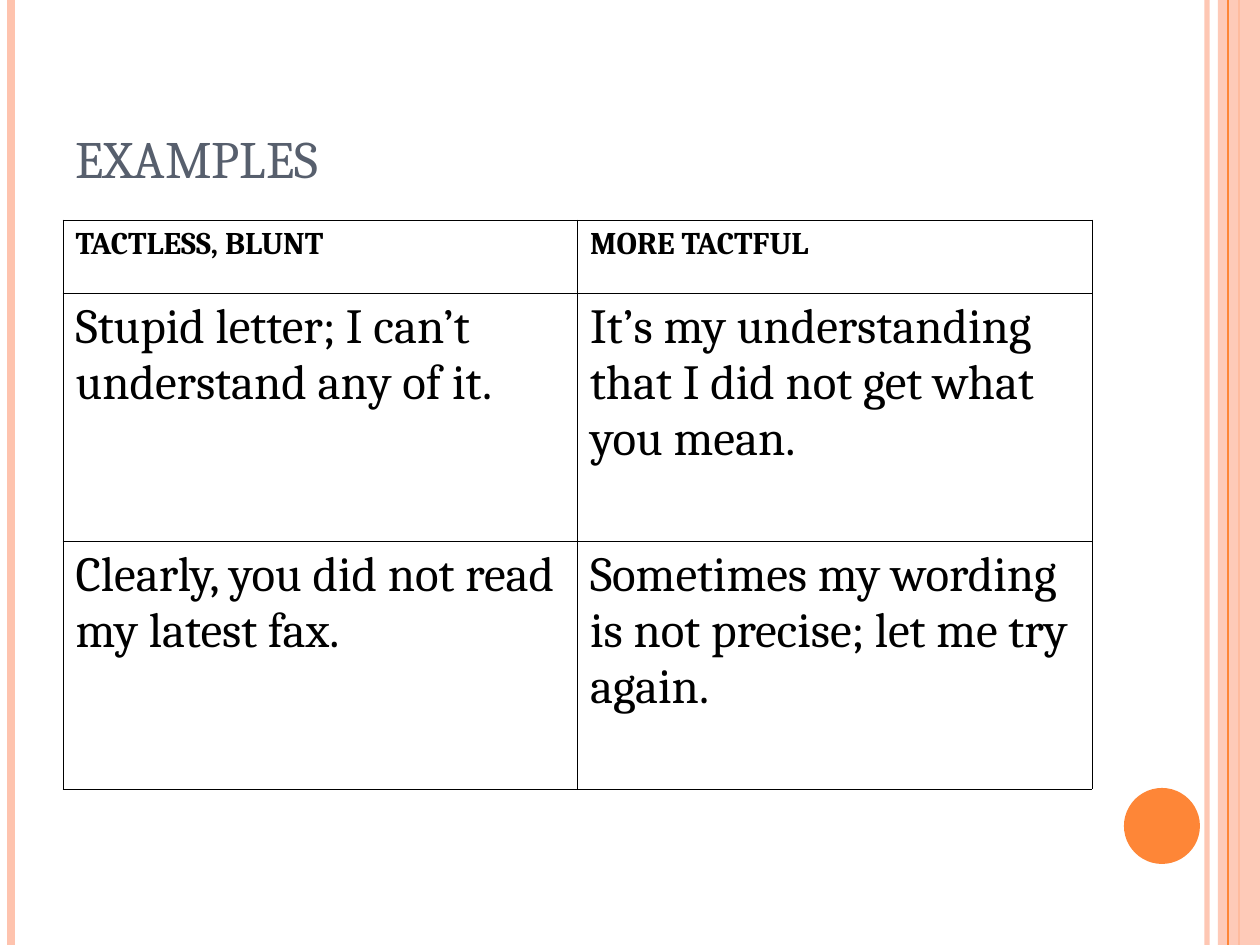
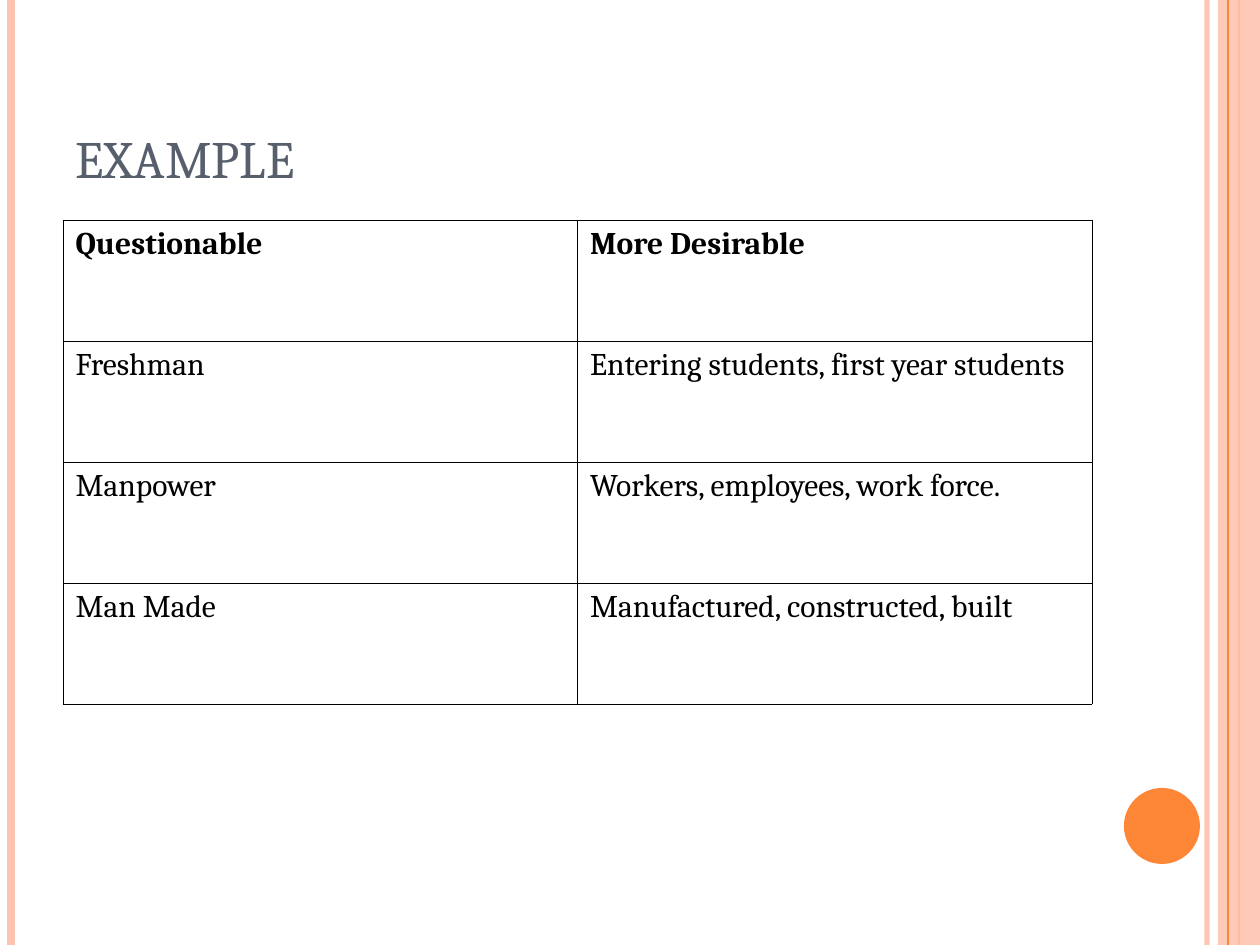
from lxml.etree import SubElement
from pptx import Presentation
from pptx.dml.color import RGBColor
from pptx.enum.shapes import MSO_CONNECTOR as Connector, MSO_SHAPE as Shape
from pptx.enum.text import MSO_ANCHOR as Anchor
from pptx.oxml.ns import qn
from pptx.util import Emu, Pt

SLIDE_WIDTH, SLIDE_HEIGHT = 1260, 945
FONT = "Cambria"
PEACH, ORANGE, SLATE, BLACK = "FEC3AE", "FE8637", "575F6D", "000000"
TITLE_BOX = (63, 38, 1029, 157)
TABLE_LEFT, TABLE_TOP, TABLE_WIDTH = 63, 220, 1029


def px(length):
    return Emu(round(length * 914400 / 126))


def color(hex_code):
    return RGBColor.from_string(hex_code)


def set_opacity(fill_parent, percent):
    """Make the solid colour inside an element partly transparent."""
    srgb = next(fill_parent.iter(qn("a:srgbClr")))
    SubElement(srgb, qn("a:alpha"), val=str(percent * 1000))


def add_run(paragraph, text, size, hex_code, bold=False):
    run = paragraph.add_run()
    run.text = text
    run.font.name = FONT
    run.font.size = Pt(size)
    run.font.bold = bold
    run.font.color.rgb = color(hex_code)


def add_stripe(slide, x, hex_code, width, opacity=100):
    """Vertical line over the full height of the slide."""
    stripe = slide.shapes.add_connector(
        Connector.STRAIGHT, px(x), 0, px(x), px(SLIDE_HEIGHT))
    stripe.line.color.rgb = color(hex_code)
    stripe.line.width = Pt(width)
    properties = stripe._element.spPr
    if opacity < 100:
        set_opacity(properties, opacity)
    SubElement(properties, qn("a:effectLst"))


def add_solid(slide, kind, box, hex_code, opacity=100):
    """Filled shape without an outline."""
    shape = slide.shapes.add_shape(kind, *map(px, box))
    shape.shadow.inherit = False
    shape.fill.solid()
    shape.fill.fore_color.rgb = color(hex_code)
    shape.line.fill.background()
    if opacity < 100:
        set_opacity(shape._element.spPr, opacity)


def add_frame(slide):
    """Edge stripes, right band and page disc shared by all slides."""
    add_stripe(slide, 1207, PEACH, 3, opacity=93)
    add_stripe(slide, 11, PEACH, 4.5)
    add_stripe(slide, 1239, ORANGE, 1.5)
    add_solid(slide, Shape.RECTANGLE, (1218, 0, 42, SLIDE_HEIGHT), PEACH, opacity=87)
    add_stripe(slide, 1228, ORANGE, 0.75)
    add_solid(slide, Shape.OVAL, (1124, 788, 76, 76), ORANGE)


def add_title(slide, text, box):
    text_frame = slide.shapes.add_textbox(*map(px, box)).text_frame
    text_frame.word_wrap = True
    text_frame.vertical_anchor = Anchor.BOTTOM
    add_run(text_frame.paragraphs[0], text, 30, SLATE)


def add_borders(cell):
    properties = cell._tc.get_or_add_tcPr()
    for side in ("lnL", "lnR", "lnT", "lnB"):
        border = SubElement(properties, qn(f"a:{side}"), w=str(Pt(0.45)))
        fill = SubElement(border, qn("a:solidFill"))
        SubElement(fill, qn("a:srgbClr"), val=BLACK)


def add_comparison_table(slide, rows, row_heights, body_size):
    """Two equal columns: a bold heading row, then the wordings compared."""
    column_count = len(rows[0])
    table = slide.shapes.add_table(
        len(rows), column_count, px(TABLE_LEFT), px(TABLE_TOP),
        px(TABLE_WIDTH), px(sum(row_heights))).table
    table.first_row = table.horz_banding = False
    for column in table.columns:
        column.width = px(TABLE_WIDTH / column_count)
    for row_index, (texts, height) in enumerate(zip(rows, row_heights)):
        table.rows[row_index].height = px(height)
        heading = row_index == 0
        for column_index, text in enumerate(texts):
            cell = table.cell(row_index, column_index)
            add_borders(cell)
            cell.fill.background()
            add_run(cell.text_frame.paragraphs[0], text,
                    18 if heading else body_size, BLACK, bold=heading)


def add_comparison_slide(presentation, title, rows, row_heights, body_size):
    slide = presentation.slides.add_slide(presentation.slide_layouts[6])
    add_frame(slide)
    add_title(slide, title, TITLE_BOX)
    add_comparison_table(slide, rows, row_heights, body_size)


def main():
    presentation = Presentation()
    presentation.slide_width = px(SLIDE_WIDTH)
    presentation.slide_height = px(SLIDE_HEIGHT)

    # Tactless and tactful wording
    tact_rows = [
        ("TACTLESS, BLUNT", "MORE TACTFUL"),
        ("Stupid letter; I can’t understand any of it.",
         "It’s my understanding that I did not get what you mean."),
        ("Clearly, you did not read my latest fax.",
         "Sometimes my wording is not precise; let me try again."),
    ]
    add_comparison_slide(presentation, "EXAMPLES", tact_rows, [73, 248, 248], 28)

    # Questionable and preferred terms
    term_rows = [
        ("Questionable", "More Desirable"),
        ("Freshman", "Entering students, first year students"),
        ("Manpower", "Workers, employees, work force."),
        ("Man Made", "Manufactured, constructed, built"),
    ]
    add_comparison_slide(presentation, "EXAMPLE", term_rows, [121] * len(term_rows), 18)

    presentation.save("out.pptx")


if __name__ == "__main__":
    main()
